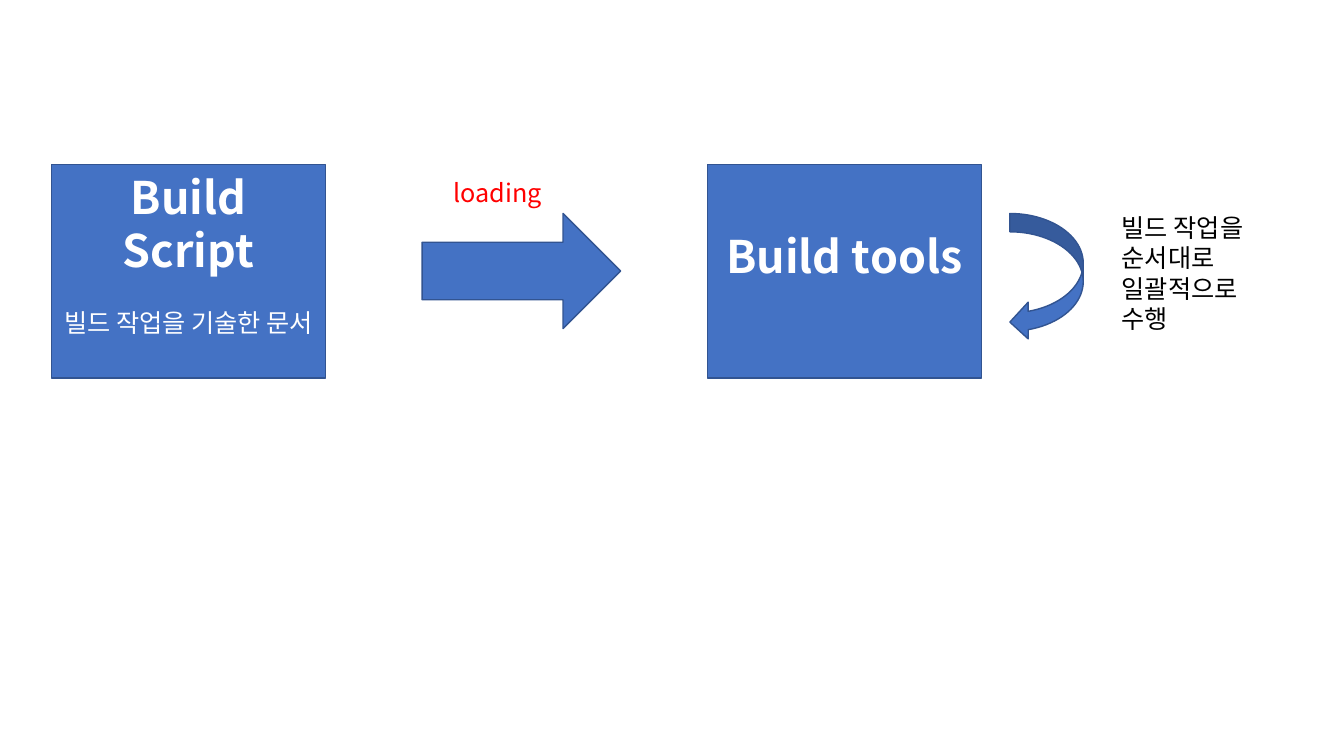
"""Build a slide showing a build script loaded into build tools."""
import pptx
import pptx.util
import pptx.dml.color
import pptx.enum.shapes
import pptx.enum.text
import pptx.oxml
import pptx.oxml.ns

Cm, Pt = pptx.util.Cm, pptx.util.Pt
RGBColor = pptx.dml.color.RGBColor
MSO_SHAPE = pptx.enum.shapes.MSO_SHAPE
PP_ALIGN = pptx.enum.text.PP_ALIGN
MSO_ANCHOR = pptx.enum.text.MSO_ANCHOR

BLUE = RGBColor(0x44, 0x72, 0xC4)
OUTLINE = RGBColor(0x32, 0x54, 0x91)
WHITE = RGBColor(0xFF, 0xFF, 0xFF)
RED = RGBColor(0xFF, 0x00, 0x00)
BLACK = RGBColor(0x00, 0x00, 0x00)
FONT = "Noto Sans CJK KR"

HEADING = {"size": Pt(32), "bold": True}
BODY = {"size": Pt(18), "bold": False}
CENTER = {"alignment": PP_ALIGN.CENTER}
AFTER_GAP = {"alignment": PP_ALIGN.CENTER, "space_before": Pt(22)}

BOX_TOP, BOX_W, BOX_H = 4.14, 6.9, 5.39
ARROW_TOP = 5.38
LABEL_W = 5

BOXES = [
    (1.3, {"vertical_anchor": MSO_ANCHOR.TOP},
     [("Build Script", HEADING, CENTER),
      ("빌드 작업을 기술한 문서", BODY, AFTER_GAP)]),
    (17.83, {"vertical_anchor": MSO_ANCHOR.MIDDLE, "margin_bottom": Cm(0.9)},
     [("Build tools", HEADING, CENTER)]),
]
ARROWS = [
    (MSO_SHAPE.RIGHT_ARROW, 10.64, 5, 2.9),
    (MSO_SHAPE.CURVED_LEFT_ARROW, 25.45, 1.85, 3.2),
]
LABELS = [
    (11.18, 4.34, 1.02, RED, ["loading"]),
    (28.02, 5.23, 3.33, BLACK, ["빌드 작업을", "순서대로", "일괄적으로", "수행"]),
]


def apply(target, values):
    """Set every format value on the target."""
    for name, value in values.items():
        setattr(target, name, value)


def add_shape(kind, left, top, width, height):
    """Add a blue outlined shape."""
    s = slide.shapes.add_shape(kind, Cm(left), Cm(top), Cm(width), Cm(height))
    s.shadow.inherit = False
    s.fill.solid()
    s.fill.fore_color.rgb = BLUE
    s.line.color.rgb = OUTLINE
    s.line.width = Pt(1)
    return s


def write(tf, lines, color):
    """Write formatted lines, one per paragraph."""
    tf.word_wrap = True
    for i, (text, font, layout) in enumerate(lines):
        p = tf.add_paragraph() if i else tf.paragraphs[0]
        apply(p, layout)
        r = p.add_run()
        r.text = text
        apply(r.font, {"name": FONT, **font})
        r.font.color.rgb = color
        ea = pptx.oxml.parse_xml(
            f'<a:ea {pptx.oxml.ns.nsdecls("a")} typeface="{FONT}"/>')
        r.font._element.find(pptx.oxml.ns.qn("a:latin")).addnext(ea)


prs = pptx.Presentation()
prs.slide_width, prs.slide_height = Cm(33.87), Cm(19.05)
slide = prs.slides.add_slide(prs.slide_layouts[6])

for left, frame, lines in BOXES:
    s = add_shape(MSO_SHAPE.RECTANGLE, left, BOX_TOP, BOX_W, BOX_H)
    apply(s.text_frame, frame)
    write(s.text_frame, lines, WHITE)

for kind, left, width, height in ARROWS:
    add_shape(kind, left, ARROW_TOP, width, height)

for left, top, height, color, texts in LABELS:
    s = slide.shapes.add_textbox(Cm(left), Cm(top), Cm(LABEL_W), Cm(height))
    write(s.text_frame, [(text, BODY, {}) for text in texts], color)

prs.save("out.pptx")
